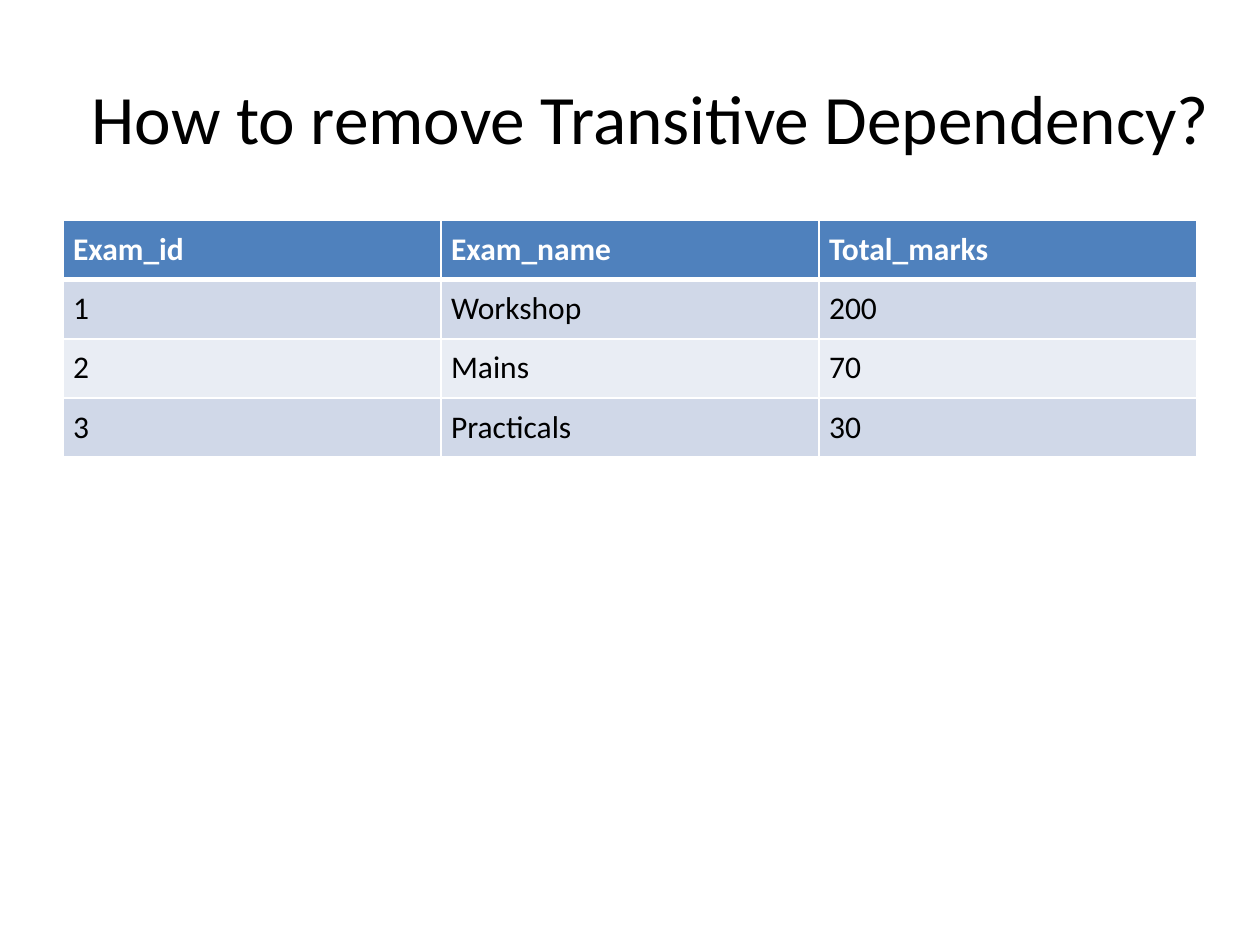
from dataclasses import dataclass

from lxml.etree import SubElement
from pptx import Presentation
from pptx.dml.color import RGBColor
from pptx.enum.text import MSO_ANCHOR, PP_ALIGN
from pptx.oxml.ns import qn
from pptx.slide import Slide
from pptx.table import _Cell as Cell
from pptx.text.text import _Paragraph as Paragraph
from pptx.util import Inches, Pt


@dataclass(frozen=True)
class Theme:
    font: str = "Calibri"
    title_size: float = 39.6
    cell_size: float = 18
    text: str = "000000"
    header_text: str = "FFFFFF"
    header_fill: str = "4F81BD"
    bands: tuple[str, str] = ("D0D8E8", "E9EDF4")
    border: str = "FFFFFF"
    thin: float = 1
    thick: float = 3


@dataclass(frozen=True)
class Exam:
    exam_id: str
    name: str
    marks: str


THEME = Theme()
HEADER = Exam("Exam_id", "Exam_name", "Total_marks")
EXAMS = [
    Exam("1", "Workshop", "200"),
    Exam("2", "Mains", "70"),
    Exam("3", "Practicals", "30"),
]
COLUMN_WIDTH, ROW_HEIGHT = 3, 0.47


def add_run(paragraph: Paragraph, text: str, size: float, color: str, bold: bool = False) -> None:
    run = paragraph.add_run()
    run.text = text
    run.font.name = THEME.font
    run.font.size = Pt(size)
    run.font.bold = bold
    run.font.color.rgb = RGBColor.from_string(color)


def add_title(slide: Slide, text: str) -> None:
    title = slide.shapes.add_textbox(Inches(0.5), Inches(0.3), Inches(9.33), Inches(1.25))
    frame = title.text_frame
    frame.word_wrap = True
    frame.vertical_anchor = MSO_ANCHOR.MIDDLE
    paragraph = frame.paragraphs[0]
    paragraph.alignment = PP_ALIGN.CENTER
    add_run(paragraph, text, THEME.title_size, THEME.text)


def set_border(cell: Cell, side: str, width: float) -> None:
    line = SubElement(cell._tc.get_or_add_tcPr(), qn(f"a:ln{side}"), w=str(Pt(width)))
    SubElement(SubElement(line, qn("a:solidFill")), qn("a:srgbClr"), val=THEME.border)


def fill_cell(cell: Cell, text: str, row: int) -> None:
    is_header = row == 0
    # Thick rule between the header and the first exam
    widths = {
        "L": THEME.thin,
        "R": THEME.thin,
        "T": THEME.thick if row == 1 else THEME.thin,
        "B": THEME.thick if is_header else THEME.thin,
    }
    for side, width in widths.items():
        set_border(cell, side, width)
    fill = THEME.header_fill if is_header else THEME.bands[(row - 1) % 2]
    cell.fill.solid()
    cell.fill.fore_color.rgb = RGBColor.from_string(fill)
    cell.margin_left = cell.margin_right = Inches(0.08)
    cell.margin_top = cell.margin_bottom = Inches(0.08)
    color = THEME.header_text if is_header else THEME.text
    add_run(cell.text_frame.paragraphs[0], text, THEME.cell_size, color, is_header)


def add_exam_table(slide: Slide, exams: list[Exam]) -> None:
    rows = [(exam.exam_id, exam.name, exam.marks) for exam in [HEADER, *exams]]
    column_count = len(rows[0])
    table = slide.shapes.add_table(
        len(rows), column_count, Inches(0.5), Inches(1.75),
        Inches(COLUMN_WIDTH * column_count), Inches(ROW_HEIGHT * len(rows)),
    ).table
    for row, values in enumerate(rows):
        for column, value in enumerate(values):
            fill_cell(table.cell(row, column), value, row)


def main() -> None:
    deck = Presentation()
    deck.slide_width, deck.slide_height = Inches(10), Inches(7.5)
    slide = deck.slides.add_slide(deck.slide_layouts[6])

    # Heading
    add_title(slide, "How to remove Transitive Dependency?")
    # Exam table after the split
    add_exam_table(slide, EXAMS)

    deck.save("out.pptx")


if __name__ == "__main__":
    main()
